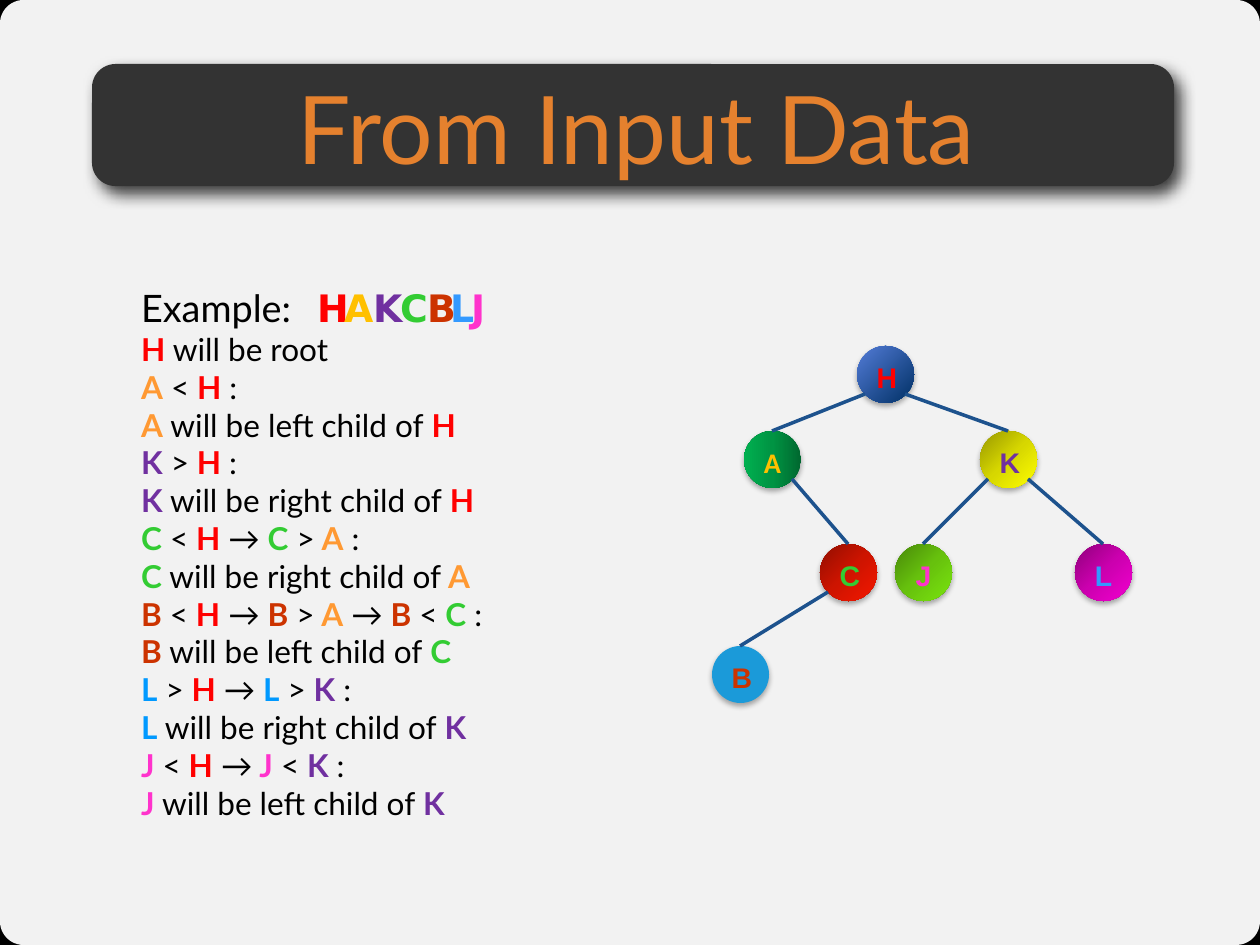
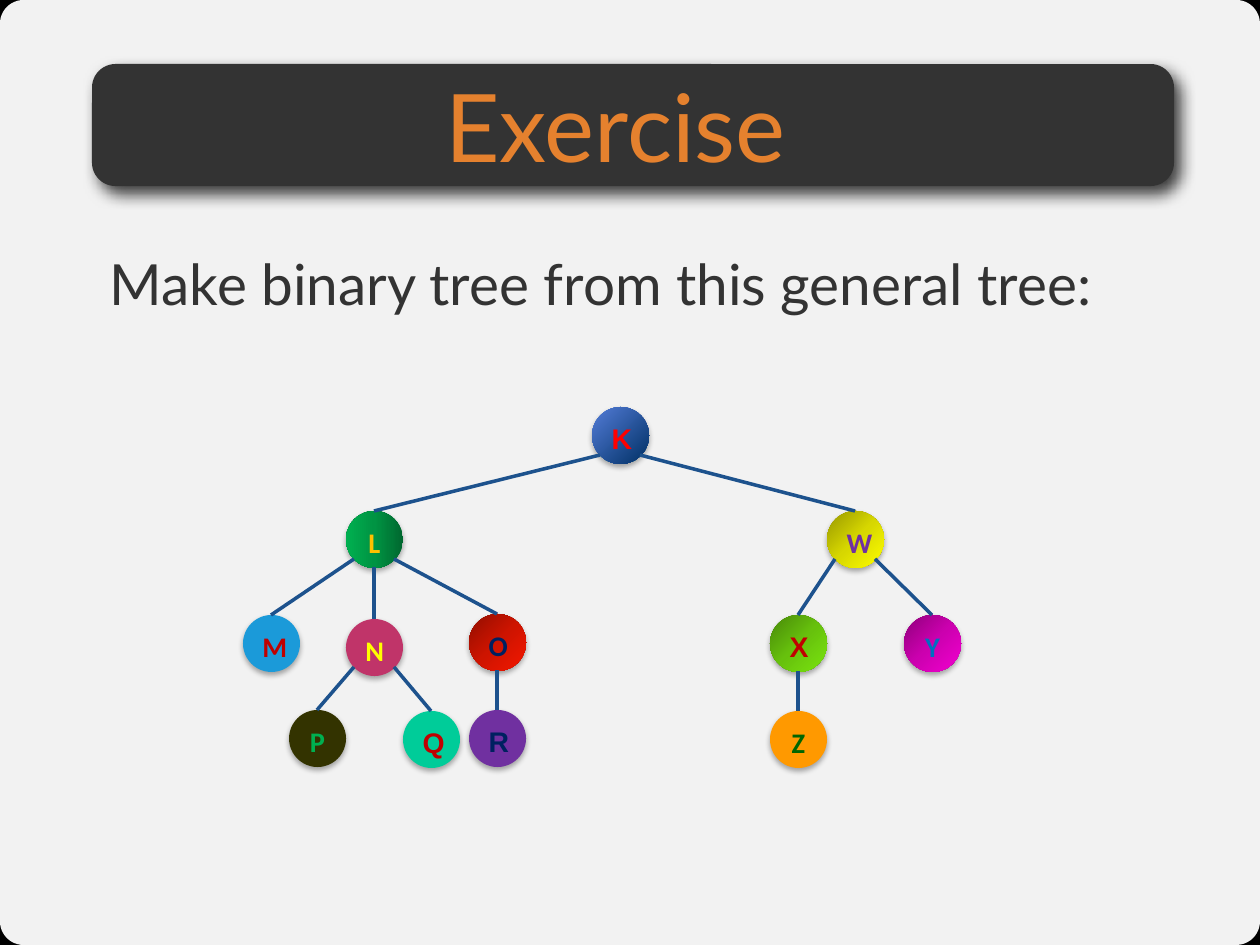
from itertools import groupby

from pptx import Presentation
from pptx.dml.color import RGBColor
from pptx.enum import shapes, text
from pptx.oxml import parse_xml
from pptx.oxml.ns import nsdecls, qn

PX = 8064  # EMU in one pixel
NODE = 57  # node diameter
DIAGONAL = 20  # centre to the 45 degree point of a node's rim
SHAPE = shapes.MSO_SHAPE

NODE_SHADOW = ("000000", 32, 3.5, 2.2, 90)
BANNER_SHADOW = ("000000", 75, 10, 6, 51)

# Node fills: gradient angle, then colours at equal steps
BLUE = (45, "547DD8", "003065")
GREEN = (180, "00682F", "009443", "00B050")
MAGENTA = (45, "8F007B", "CC00AF", "F200CF")
YELLOW = (45, "979700", "D7D700", "FFFF00")
RED = (45, "910E00", "CE1400", "F41700")
LIME = (45, "488809", "67C10D", "7AE50F")
SKY = (0, "1B9AD9")


def rgb(value):
    return RGBColor.from_string(value)


def draw(slide, kind, box, fill, shadow=None):
    """Add a borderless shape with a solid or gradient fill."""
    sp = slide.shapes.add_shape(kind, *(v * PX for v in box))
    angle, *colours = fill
    props = sp._element.spPr
    if len(colours) == 1:
        sp.fill.solid()
        sp.fill.fore_color.rgb = rgb(colours[0])
    else:
        step = 100000 // (len(colours) - 1)
        stops = "".join(f'<a:gs pos="{i * step}"><a:srgbClr val="{c}"/></a:gs>'
                        for i, c in enumerate(colours))
        props.insert(2, parse_xml(
            f'<a:gradFill {nsdecls("a")} rotWithShape="1"><a:gsLst>{stops}</a:gsLst>'
            f'<a:lin ang="{angle * 60000}" scaled="0"/></a:gradFill>'))
    sp.line.fill.background()
    sp.shadow.inherit = False
    if shadow:
        colour, alpha, blur, dist, direction = shadow
        props.find(qn("a:effectLst")).append(parse_xml(
            f'<a:outerShdw {nsdecls("a")} blurRad="{int(blur * 12700)}" '
            f'dist="{int(dist * 12700)}" dir="{direction * 60000}" rotWithShape="0">'
            f'<a:srgbClr val="{colour}"><a:alpha val="{alpha * 1000}"/></a:srgbClr>'
            f'</a:outerShdw>'))
    return sp


prs = Presentation()
prs.slide_width, prs.slide_height = 1260 * PX, 945 * PX
layout = prs.slide_layouts[5]
example, exercise = [prs.slides.add_slide(layout) for _ in range(2)]

# Shared look, kept on the layout: black ground, rounded panel, title banner
layout.background.fill.solid()
layout.background.fill.fore_color.rgb = rgb("000000")
for ph in list(layout.placeholders)[1:]:
    ph._element.getparent().remove(ph._element)
panel = draw(example, SHAPE.ROUNDED_RECTANGLE, (0, 0, 1260, 945), (0, "FFFFFF"))
panel.adjustments[0] = 0.025
panel._element.spPr.find(".//" + qn("a:srgbClr")).append(
    parse_xml(f'<a:alpha {nsdecls("a")} val="95000"/>'))
banner = draw(example, SHAPE.ROUNDED_RECTANGLE, (92, 64, 1082, 122),
              (0, "333333"), BANNER_SHADOW)
banner.adjustments[0] = 0.192
for sp in (panel, banner):
    layout.shapes._spTree.append(sp._element)

# Titles
for s, title, left, top in ((example, "From Input Data", 98, 70),
                            (exercise, "Exercise", 77, 68)):
    sp = s.shapes.title
    sp.left, sp.top, sp.width, sp.height = left * PX, top * PX, 1077 * PX, 113 * PX
    tf = sp.text_frame
    tf.text = title
    tf.auto_size = text.MSO_AUTO_SIZE.NONE
    tf.vertical_anchor = text.MSO_ANCHOR.MIDDLE
    tf.margin_left = tf.margin_top = tf.margin_right = tf.margin_bottom = 0
    p = tf.paragraphs[0]
    p.alignment = text.PP_ALIGN.CENTER
    p.font.name, p.font.size = "Lato", 60 * 12700
    p.font.color.rgb = rgb("E5812E")

# Insertion steps: every key letter is bold in its own colour
INK = {"H": "FF0000", "A": "FF9933", "K": "7030A0", "C": "33CC33",
       "B": "CC3300", "L": "0099FF", "J": "FF33CC"}
STEPS = ["Example:", "H will be root",
         "A < H :", "A will be left child of H",
         "K > H :", "K will be right child of H",
         "C < H → C > A :", "C will be right child of A",
         "B < H → B > A → B < C :", "B will be left child of C",
         "L > H → L > K :", "L will be right child of K",
         "J < H → J < K :", "J will be left child of K"]
tf = example.shapes.add_textbox(130 * PX, 279 * PX, 999 * PX, 548 * PX).text_frame
tf.word_wrap = True
for i, step in enumerate(STEPS):
    p = tf.paragraphs[0] if i == 0 else tf.add_paragraph()
    p.font.name, p.font.size = "Lato", (20 if i else 24) * 12700
    for ink, words in groupby(step.split(), INK.get):
        gap = " " if p.runs else ""
        r = p.add_run()
        r.text = gap + " ".join(words)
        r.font.bold = ink is not None
        r.font.color.rgb = rgb(ink or "000000")

# Input letters
KEYS = [("H", 306, "FF0000"), ("A", 333, "FFC000"), ("K", 362, "7030A0"),
        ("C", 389, "33CC33"), ("B", 416, "CC3300"), ("L", 439, "3399FF"),
        ("J", 460, "FF33CC")]
for key, left, ink in KEYS:
    tf = example.shapes.add_textbox(left * PX, 279 * PX, 57 * PX, 57 * PX).text_frame
    tf.word_wrap = True
    p = tf.paragraphs[0]
    p.text = key
    p.font.name, p.font.size, p.font.bold = "DejaVu Sans", 24 * 12700, True
    p.font.color.rgb = rgb(ink)

# Exercise task
tf = exercise.shapes.add_textbox(110 * PX, 249 * PX, 1084 * PX, 634 * PX).text_frame
tf.word_wrap = True
tf.margin_left = tf.margin_top = tf.margin_right = tf.margin_bottom = 0
p = tf.paragraphs[0]
p.text = "Make binary tree from this general tree:"
p.font.name, p.font.size = "Lato", 36 * 12700
p.font.color.rgb = rgb("333333")

# Trees: key, parent, left, top, fill, font, letter colour
SEARCH_TREE = [
    ("H", None, 857, 346, BLUE, "Arial", "FF0000"),
    ("A", "H", 744, 431, GREEN, "Calibri", "FFC000"),
    ("K", "H", 980, 431, YELLOW, "Arial", "7030A0"),
    ("C", "A", 820, 544, RED, "Arial", "33CC33"),
    ("J", "K", 895, 544, LIME, "Arial", "FF33CC"),
    ("L", "K", 1075, 544, MAGENTA, "Arial", "3399FF"),
    ("B", "C", 712, 646, SKY, "Arial", "CC3300"),
]
GENERAL_TREE = [
    ("K", None, 592, 407, BLUE, "Arial", "FF0000"),
    ("L", "K", 346, 511, GREEN, "Calibri", "FFC000"),
    ("W", "K", 827, 511, YELLOW, "Calibri", "7030A0"),
    ("M", "L", 243, 615, SKY, "Calibri", "C00000"),
    ("N", "L", 346, 619, (0, "C03469"), "Calibri", "FFFF00"),
    ("O", "L", 469, 614, RED, "Calibri", "002060"),
    ("X", "W", 770, 615, LIME, "Arial", "C00000"),
    ("Y", "W", 904, 615, MAGENTA, "Calibri", "0070C0"),
    ("P", "N", 289, 710, (0, "333300"), "Calibri", "00B050"),
    ("Q", "N", 403, 711, (0, "00CC99"), "Arial", "C00000"),
    ("R", "O", 469, 710, (0, "7030A0"), "Arial", "002060"),
    ("Z", "X", 770, 711, (0, "FF9900"), "Calibri", "006600"),
]
for s, tree in ((example, SEARCH_TREE), (exercise, GENERAL_TREE)):
    centres = {}
    for key, parent, left, top, fill, font, ink in tree:
        sp = draw(s, SHAPE.OVAL, (left, top, NODE, NODE), fill, NODE_SHADOW)
        tf = sp.text_frame
        tf.vertical_anchor = text.MSO_ANCHOR.TOP
        tf.word_wrap = True
        p = tf.paragraphs[0]
        p.text = key
        p.alignment = text.PP_ALIGN.CENTER
        p.font.name, p.font.size, p.font.bold = font, 18 * 12700, True
        p.font.color.rgb = rgb(ink)

        # Edge from the parent's lower rim to the top of this node
        x, y = centres[key] = left + NODE // 2, top + NODE // 2
        if parent:
            px, py = centres[parent]
            side = (x > px) - (x < px)
            drop = DIAGONAL if side else NODE // 2
            edge = s.shapes.add_connector(
                shapes.MSO_CONNECTOR.STRAIGHT, (px + side * DIAGONAL) * PX,
                (py + drop) * PX, x * PX, top * PX)
            edge.line.color.rgb = rgb("1D528D")
            edge.line.width = 28575
            edge._element.spPr.append(parse_xml(f'<a:effectLst {nsdecls("a")}/>'))

prs.save("out.pptx")
